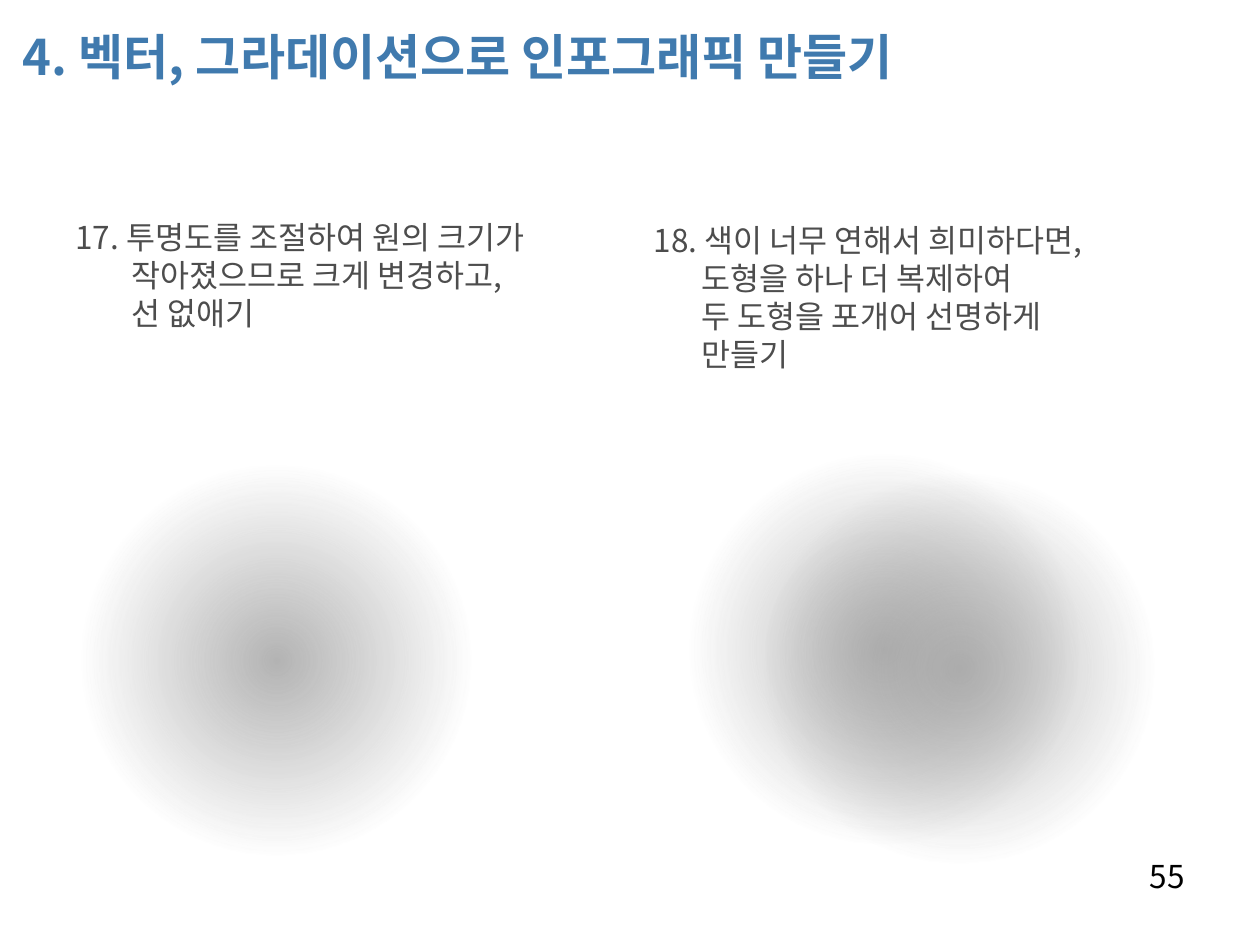
from dataclasses import dataclass

from lxml.etree import SubElement
from pptx import Presentation
from pptx.dml.color import RGBColor as Rgb
from pptx.enum.shapes import MSO_SHAPE as Kind
from pptx.enum.text import MSO_ANCHOR as Anchor, PP_ALIGN as Align
from pptx.oxml.ns import qn
from pptx.util import Pt


@dataclass(frozen=True)
class Theme:
    font: str = "Noto Sans CJK KR"
    blue: str = "407AAE"
    gray: str = "4D4D4D"
    black: str = "000000"
    glow: str = "A6A6A6"
    head: float = 28
    body: float = 18
    pitch: float = 21.7


@dataclass(frozen=True)
class Box:
    left: float
    top: float
    wide: float
    high: float

    def size(self) -> tuple:
        return Pt(self.left), Pt(self.top), Pt(self.wide), Pt(self.high)


@dataclass(frozen=True)
class Step:
    box: Box
    hang: float
    lines: tuple


THEME = Theme()
GLOW = 316
STEPS = (
    Step(Box(36, 121, 318, 356), 32,
         ("17. 투명도를 조절하여 원의 크기가", "작아졌으므로 크게 변경하고,", "선 없애기")),
    Step(Box(366.5, 122.5, 318, 356), 27.5,
         ("18. 색이 너무 연해서 희미하다면,", "도형을 하나 더 복제하여",
          "두 도형을 포개어 선명하게", "만들기")),
)
SOLO = (0, 219)
PAIR = ((347, 213), (390, 224))


def write(shape, text: str, *, size: float = THEME.body, color: str = THEME.gray,
          bold: bool = False, align=Align.LEFT, anchor=Anchor.TOP,
          pitch: float = 0, hang: float = 0) -> None:
    """Fill a shape with one paragraph; hang indents all lines but the first."""
    frame = shape.text_frame
    frame.word_wrap = True
    frame.vertical_anchor = anchor
    para = frame.paragraphs[0]
    para.text = text
    para.alignment = align
    if pitch:
        para.line_spacing = Pt(pitch)
    if hang:
        props = para._p.get_or_add_pPr()
        props.set("marL", str(Pt(hang)))
        props.set("indent", str(-Pt(hang)))
    for run in para.runs:
        font = run.font
        font.name, font.size, font.bold = THEME.font, Pt(size), bold
        font.color.rgb = Rgb.from_string(color)
        SubElement(run._r.get_or_add_rPr(), qn("a:ea"), typeface=THEME.font)


def fade(shape) -> None:
    """Give a shape a radial fill that is clear from halfway out."""
    shape.fill.gradient()
    grad = shape._element.spPr.find(qn("a:gradFill"))
    for child in list(grad):
        grad.remove(child)
    stops = SubElement(grad, qn("a:gsLst"))
    for place, alpha in ((0, 85), (50, 0), (100, 0)):
        stop = SubElement(stops, qn("a:gs"), pos=str(place * 1000))
        color = SubElement(stop, qn("a:srgbClr"), val=THEME.glow)
        SubElement(color, qn("a:alpha"), val=str(alpha * 1000))
    route = SubElement(grad, qn("a:path"), path="circle")
    SubElement(route, qn("a:fillToRect"), l="50000", t="50000", r="50000", b="50000")


def glow(shapes, left: float, top: float) -> None:
    disc = shapes.add_shape(Kind.OVAL, *Box(left, top, GLOW, GLOW).size())
    disc.shadow.inherit = False
    disc.line.fill.background()
    fade(disc)


def main() -> None:
    deck = Presentation()
    deck.slide_width, deck.slide_height = Pt(720), Pt(540)
    slide = deck.slides.add_slide(deck.slide_layouts[5])
    shapes = slide.shapes

    title = shapes.title
    title.left, title.top, title.width, title.height = Box(5.5, 4.5, 556, 55).size()
    write(title, "4. 벡터, 그라데이션으로 인포그래픽 만들기", size=THEME.head,
          color=THEME.blue, bold=True, anchor=Anchor.MIDDLE)

    for step in STEPS:
        write(shapes.add_textbox(*step.box.size()), "\v".join(step.lines),
              pitch=THEME.pitch, hang=step.hang)

    page = shapes.add_textbox(*Box(516, 486, 168, 37).size())
    write(page, "55", color=THEME.black, align=Align.RIGHT, pitch=THEME.pitch)

    glow(shapes, *SOLO)
    group = shapes.add_group_shape()
    for spot in PAIR:
        glow(group.shapes, *spot)

    deck.save("out.pptx")


if __name__ == "__main__":
    main()
